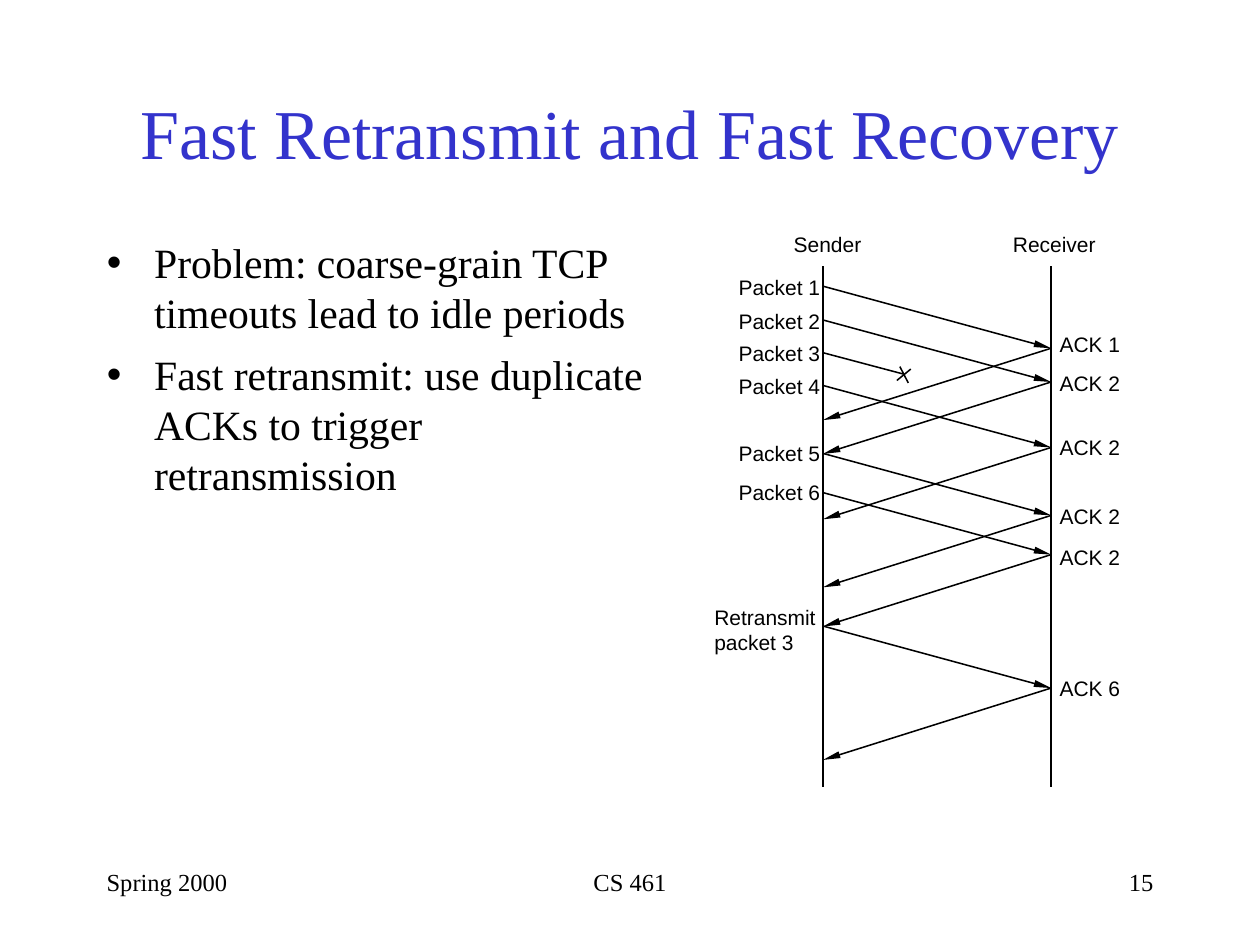
"""Build the slide on fast retransmit and fast recovery."""
from lxml import etree
from pptx import Presentation
from pptx.dml.color import RGBColor
from pptx.enum.shapes import MSO_CONNECTOR
from pptx.enum.text import MSO_ANCHOR, MSO_AUTO_SIZE, PP_ALIGN
from pptx.oxml.ns import qn
from pptx.util import Cm, Pt

LEFT, MID, RIGHT = PP_ALIGN.LEFT, PP_ALIGN.CENTER, PP_ALIGN.RIGHT
MIDDLE = MSO_ANCHOR.MIDDLE
NO_FIT = MSO_AUTO_SIZE.NONE
STRAIGHT = MSO_CONNECTOR.STRAIGHT
COLORS = {"title": "3333CC", "ink": "000000"}
SERIF, SANS = "Times New Roman", "Arial"
SENDER, RECEIVER = 16.59, 21.19
SEND_DROP, ACK_DROP = 1.25, 1.45

deck = Presentation()
deck.slide_width, deck.slide_height = Cm(25.4), Cm(19.05)
slide = deck.slides.add_slide(deck.slide_layouts[1])


def style(frame, size, face, align=LEFT, color="ink"):
    for para in frame.paragraphs:
        para.alignment = align
        for run in para.runs:
            run.font.size = Pt(size)
            run.font.name = face
            run.font.color.rgb = RGBColor.from_string(COLORS[color])


def draw(x1, y1, x2, y2, arrow=False):
    line = slide.shapes.add_connector(STRAIGHT, Cm(x1), Cm(y1), Cm(x2), Cm(y2))
    line.line.color.rgb = RGBColor.from_string(COLORS["ink"])
    line.line.width = Pt(0.88)
    if arrow:
        etree.SubElement(line.line._get_or_add_ln(), qn("a:tailEnd"),
                         type="triangle", w="sm", len="lg")
    etree.SubElement(line._element.spPr, qn("a:effectLst"))


title = slide.shapes.title
title.left, title.top, title.width, title.height = Cm(1.9), Cm(1.06), Cm(21.6), Cm(3.18)
title.text_frame.text = "Fast Retransmit and Fast Recovery"
title.text_frame.vertical_anchor = MIDDLE
style(title.text_frame, 40, SERIF, MID, "title")

body = slide.placeholders[1]
body.left, body.top, body.width, body.height = Cm(1.9), Cm(4.65), Cm(11.86), Cm(6.15)
points = body.text_frame
points.auto_size = NO_FIT
points.text = ("Problem: coarse-grain TCP timeouts lead to idle periods\n"
               "Fast retransmit: use duplicate ACKs to trigger retransmission")
for row, para in enumerate(points.paragraphs):
    para.space_before = Pt(7 if row else 0)
style(points, 23.8, SERIF)

labels = [("Sender", 16, 4.66), ("Receiver", 20.42, 4.66),
          ("Retransmit", 14.4, 12.19), ("packet 3", 14.4, 12.7)]
for num, top in enumerate([5.54, 6.22, 6.86, 7.53, 8.88, 9.67], 1):
    labels.append((f"Packet {num}", 14.89, top))
for num, top in zip([1, 2, 2, 2, 2, 6], [6.68, 7.47, 8.76, 10.16, 10.97, 13.61]):
    labels.append((f"ACK {num}", 21.36, top))
for text, left, top in labels:
    frame = slide.shapes.add_textbox(Cm(left), Cm(top), Cm(2.2), Cm(0.51)).text_frame
    frame.margin_left = frame.margin_right = frame.margin_top = frame.margin_bottom = 0
    frame.word_wrap = False
    frame.text = text
    style(frame, 12, SANS)

for axis in (SENDER, RECEIVER):
    draw(axis, 5.37, axis, 15.87)
for start in (5.77, 6.45, 7.77, 9.14, 9.93, 12.62):
    turn = start + SEND_DROP
    draw(SENDER, start, RECEIVER, turn, True)
    draw(RECEIVER, turn, SENDER, turn + ACK_DROP, True)

draw(SENDER, 7.11, 18.21, 7.54)
draw(18.14, 7.39, 18.31, 7.72)
draw(18.36, 7.44, 18.08, 7.67)

for text, left, width, align in [("Spring 2000", 1.9, 5.28, LEFT),
                                 ("CS 461", 8.68, 8.04, MID),
                                 ("15", 18.22, 5.28, RIGHT)]:
    frame = slide.shapes.add_textbox(Cm(left), Cm(17.35), Cm(width), Cm(1.27)).text_frame
    frame.word_wrap = True
    frame.text = text
    style(frame, 14, SERIF, align)

deck.save("out.pptx")
